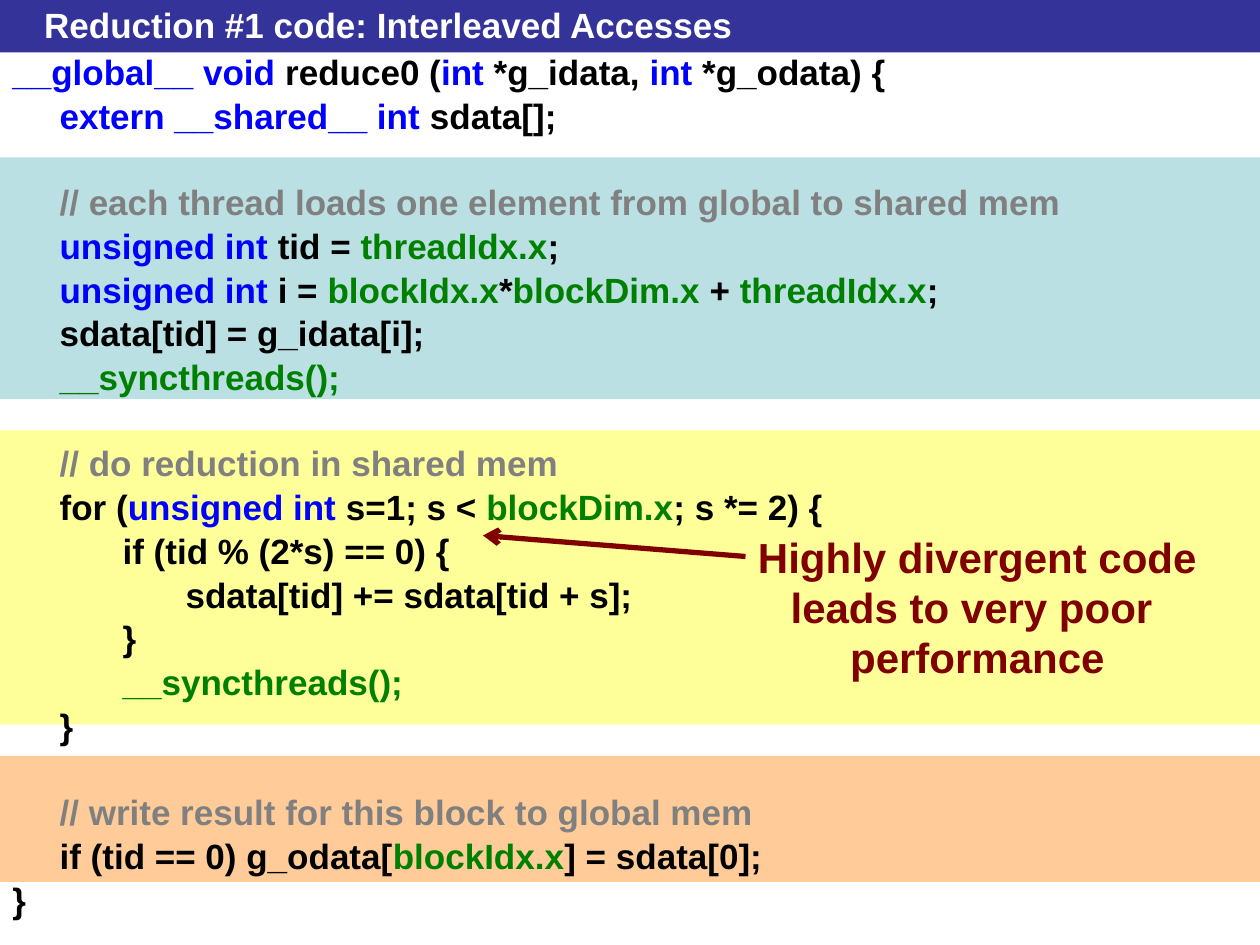
from lxml import etree
from pptx import Presentation
from pptx.dml.color import RGBColor
from pptx.enum.shapes import MSO_CONNECTOR, MSO_SHAPE
from pptx.enum.text import MSO_ANCHOR, MSO_AUTO_SIZE, PP_ALIGN
from pptx.oxml.ns import qn
from pptx.util import Pt

RECT, LINE = MSO_SHAPE.RECTANGLE, MSO_CONNECTOR.STRAIGHT
LEFT, CENTER, MIDDLE = PP_ALIGN.LEFT, PP_ALIGN.CENTER, MSO_ANCHOR.MIDDLE
FIXED, GROW = MSO_AUTO_SIZE.NONE, MSO_AUTO_SIZE.SHAPE_TO_FIT_TEXT

COLORS = {
    "bar": "333399", "load": "BBE0E3", "reduce": "FFFF99", "write": "FFCC99",
    "white": "FFFFFF", "plain": "000000", "key": "0000FF", "cuda": "008000",
    "note": "808080", "alert": "800000",
}
RGB = {name: RGBColor.from_string(code) for name, code in COLORS.items()}

# Each block is a list of lines; each line is a list of (text, color) runs.
BLOCKS = [
    [
        [("__global__ void", "key"), (" reduce0 (", "plain"), ("int", "key"),
         (" *g_idata, ", "plain"), ("int", "key"), (" *g_odata) {", "plain")],
        [("\textern __shared__ int", "key"), (" sdata[];", "plain")],
    ],
    [
        [("\t// each thread loads one element from global to shared mem", "note")],
        [("\tunsigned int", "key"), (" tid =", "plain"), (" threadIdx.x", "cuda"),
         (";", "plain")],
        [("\tunsigned int", "key"), (" i = ", "plain"), ("blockIdx.x", "cuda"),
         ("*", "plain"), ("blockDim.x", "cuda"), (" + ", "plain"),
         ("threadIdx.x", "cuda"), (";", "plain")],
        [("\tsdata[tid] = g_idata[i];", "plain")],
        [("\t__syncthreads();", "cuda")],
    ],
    [
        [("\t// do reduction in shared mem", "note")],
        [("\tfor (", "plain"), ("unsigned int", "key"), (" s=1; s < ", "plain"),
         ("blockDim.x", "cuda"), ("; s *= 2) {", "plain")],
        [("\t\tif (tid % (2*s) == 0) {", "plain")],
        [("\t\t\tsdata[tid] += sdata[tid + s];", "plain")],
        [("\t\t}", "plain")],
        [("\t\t__syncthreads();", "cuda")],
        [("\t}", "plain")],
    ],
    [
        [("\t// write result for this block to global mem", "note")],
        [("\tif (tid == 0) g_odata[", "plain"), ("blockIdx.x", "cuda"),
         ("] = sdata[0];", "plain")],
        [("}", "plain")],
    ],
]


def style(para, size, color=None):
    font = para.font
    font.name, font.size, font.bold = "Arial", Pt(size), True
    if color:
        font.color.rgb = RGB[color]


def add_band(top, height, color):
    band = slide.shapes.add_shape(RECT, 0, Pt(top), Pt(720), Pt(height))
    band.shadow.inherit = False
    band.fill.solid()
    band.fill.fore_color.rgb = RGB[color]
    band.line.fill.background()
    return band


deck = Presentation()
deck.slide_width, deck.slide_height = Pt(720), Pt(540)
slide = deck.slides.add_slide(deck.slide_layouts[5])

# Title on its bar
title = slide.shapes.title
title.element.addprevious(add_band(0, 30, "bar").element)
title.left, title.top, title.width, title.height = Pt(18), Pt(4), Pt(666), Pt(20)
frame = title.text_frame
frame.text = "Reduction #1 code: Interleaved Accesses"
frame.auto_size, frame.vertical_anchor = FIXED, MIDDLE
frame.paragraphs[0].alignment = LEFT
style(frame.paragraphs[0], 20, "white")

# Bands behind the code
for top, height, color in [(432, 72, "write"), (246, 168, "reduce"), (90, 138, "load")]:
    add_band(top, height, color)

# Code
box = slide.shapes.add_textbox(0, Pt(30), Pt(720), Pt(510))
frame = box.text_frame
frame.word_wrap = True
for block_no, block in enumerate(BLOCKS):
    for line_no, line in enumerate(block):
        first = block_no == line_no == 0
        para = frame.paragraphs[0] if first else frame.add_paragraph()
        props = para._p.get_or_add_pPr()
        props.set("marL", str(Pt(27)))
        props.set("indent", str(Pt(-27)))
        para.line_spacing = 0.8
        if not first:
            para.space_before = Pt(5.8 if line_no else 30)
        tabs = etree.SubElement(props, qn("a:tabLst"))
        for stop in range(8):
            etree.SubElement(tabs, qn("a:tab"), pos=str(Pt(72 * stop)), algn="l")
        style(para, 20)
        for text, color in line:
            run = para.add_run()
            run.text = text
            run.font.color.rgb = RGB[color]

# Remark with its arrow
box = slide.shapes.add_textbox(Pt(426), Pt(300), Pt(265), Pt(94))
frame = box.text_frame
frame.text = "Highly divergent code\nleads to very poor \nperformance"
frame.word_wrap, frame.auto_size = False, GROW
for para in frame.paragraphs:
    para.alignment = CENTER
    style(para, 24, "alert")

arrow = slide.shapes.add_connector(LINE, Pt(426), Pt(318), Pt(276), Pt(306))
arrow.line.color.rgb = RGB["alert"]
arrow.line.width = Pt(3)
etree.SubElement(arrow.line._get_or_add_ln(), qn("a:tailEnd"), type="arrow")
etree.SubElement(arrow.element.spPr, qn("a:effectLst"))

deck.save("out.pptx")
